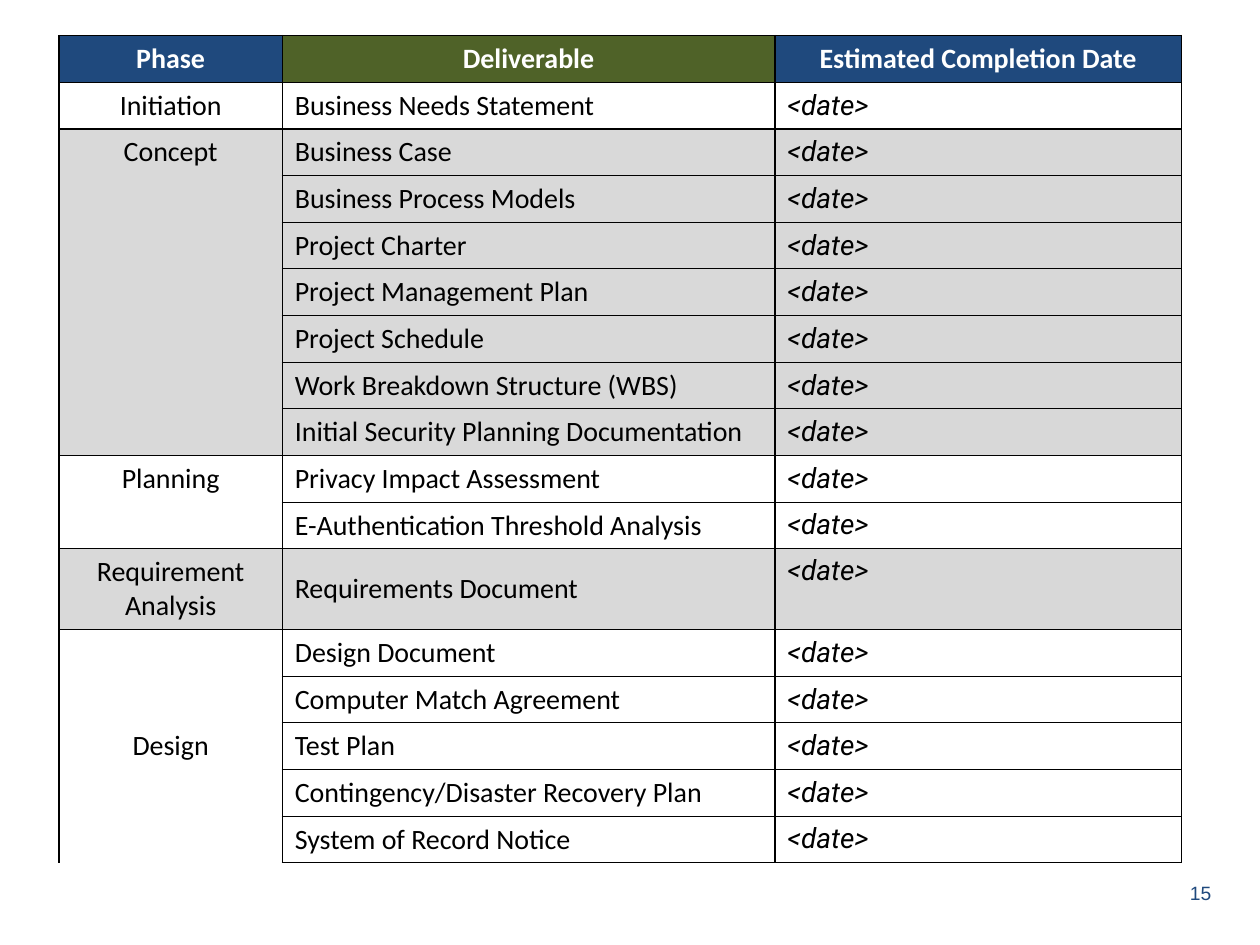
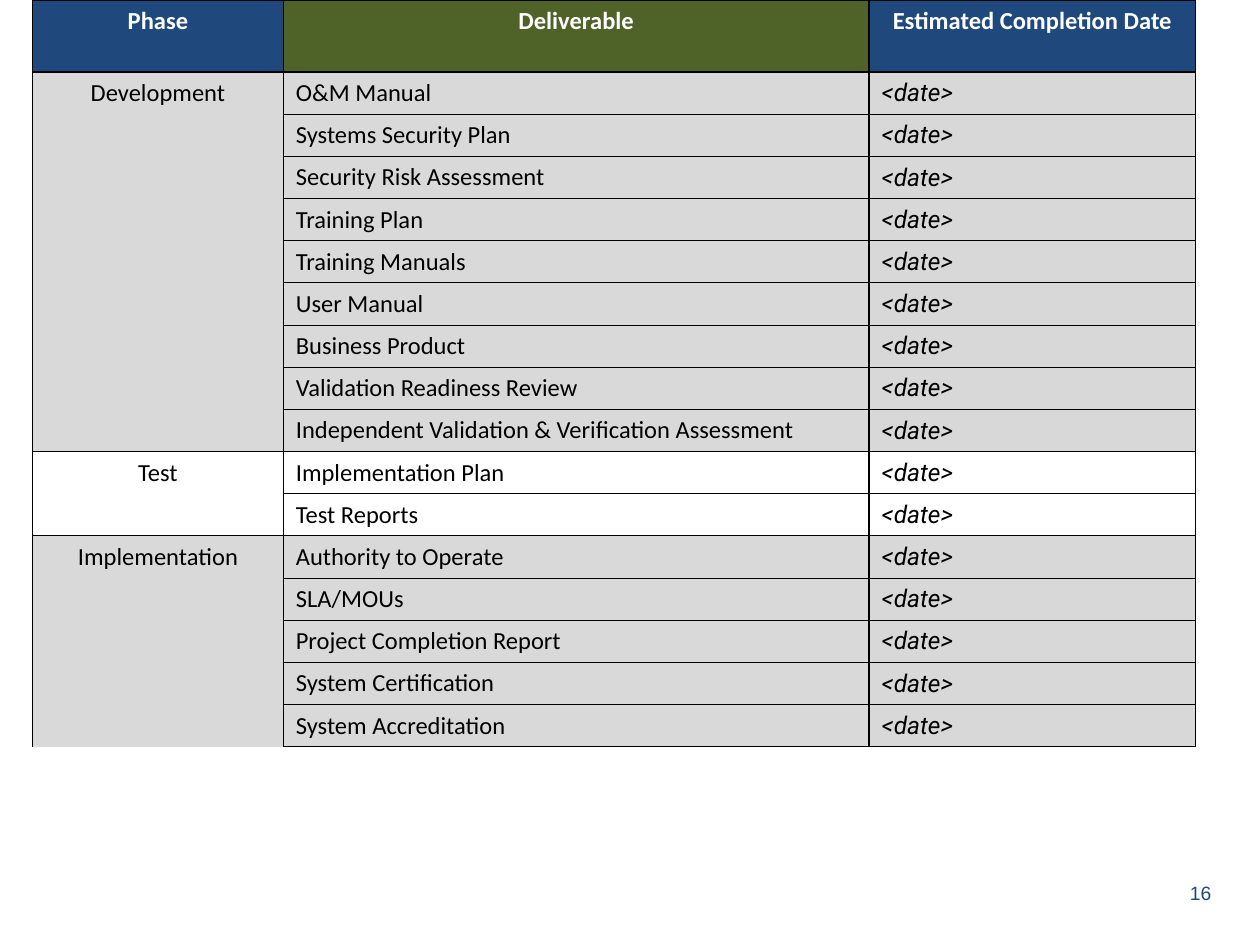
"""Two slides listing project deliverables by phase with estimated completion dates."""
from pptx import Presentation
from pptx import util as u
from pptx.dml.color import RGBColor
from pptx.enum import text
from pptx.oxml import parse_xml
from pptx.oxml.ns import nsdecls, qn

NAVY = RGBColor(0x1F, 0x49, 0x7D)
OLIVE = RGBColor(0x4F, 0x62, 0x28)
GREY = RGBColor(0xD9, 0xD9, 0xD9)
DATE_GREY = RGBColor(0xD8, 0xD8, 0xD8)
WHITE = RGBColor(0xFF, 0xFF, 0xFF)
BLACK = RGBColor(0x00, 0x00, 0x00)

TOP, MIDDLE, BOTTOM = text.MSO_ANCHOR.TOP, text.MSO_ANCHOR.MIDDLE, text.MSO_ANCHOR.BOTTOM
LEFT, CENTER, RIGHT = text.PP_ALIGN.LEFT, text.PP_ALIGN.CENTER, text.PP_ALIGN.RIGHT

NO_STYLE = "{2D5ABB26-0587-4C30-8999-92F81FD0307C}"
THICK, THIN = u.Pt(1), u.Pt(0.5)
HEADINGS = [("Phase", NAVY), ("Deliverable", OLIVE), ("Estimated Completion Date", NAVY)]
DATE = "<date>"

EARLY_PHASES = [
    ("Initiation", False, ["Business Needs Statement"]),
    ("Concept", True, [
        "Business Case", "Business Process Models", "Project Charter",
        "Project Management Plan", "Project Schedule",
        "Work Breakdown Structure (WBS)", "Initial Security Planning Documentation"]),
    ("Planning", False, ["Privacy Impact Assessment", "E-Authentication Threshold Analysis"]),
    ("Requirement Analysis", True, ["Requirements Document"]),
    ("Design", False, [
        "Design Document", "Computer Match Agreement", "Test Plan",
        "Contingency/Disaster Recovery Plan", "System of Record Notice"]),
]
LATE_PHASES = [
    ("Development", True, [
        "O&M Manual", "Systems Security Plan", "Security Risk Assessment", "Training Plan",
        "Training Manuals", "User Manual", "Business Product", "Validation Readiness Review",
        "Independent Validation & Verification Assessment"]),
    ("Test", False, ["Implementation Plan", "Test Reports"]),
    ("Implementation", True, [
        "Authority to Operate", "SLA/MOUs", "Project Completion Report",
        "System Certification", "System Accreditation"]),
]


def add_run(paragraph, words, size, color, font="Calibri", bold=False, italic=False):
    """Append one formatted run to a paragraph."""
    run = paragraph.add_run()
    run.text = words
    run.font.name, run.font.size = font, u.Pt(size)
    run.font.bold, run.font.italic = bold, italic
    run.font.color.rgb = color


def style_cell(cell, fill=None, top=THICK, bottom=THICK):
    """Give a cell its black borders and its fill; a width of None omits that edge."""
    properties = cell._tc.get_or_add_tcPr()
    for edge, width in (("lnL", THICK), ("lnR", THICK), ("lnT", top), ("lnB", bottom)):
        paint = f'<a:solidFill><a:srgbClr val="{BLACK}"/></a:solidFill>' if width else "<a:noFill/>"
        properties.append(parse_xml(
            f'<a:{edge} {nsdecls("a")} w="{width or 0}">{paint}</a:{edge}>'))
    if fill is None:
        cell.fill.background()
    else:
        cell.fill.solid()
        cell.fill.fore_color.rgb = fill


def write_cell(cell, words, size, align=LEFT, anchor=MIDDLE, color=BLACK, **look):
    """Write one aligned run of words in a cell."""
    cell.vertical_anchor = anchor
    paragraph = cell.text_frame.paragraphs[0]
    paragraph.alignment = align
    add_run(paragraph, words, size, color, **look)


def add_phase(table, first, phase, shaded, deliverables, size, anchors):
    """Fill the rows of one phase and return the index of the row after it."""
    phase_anchor, deliverable_anchor, date_anchor = anchors
    last = first + len(deliverables) - 1
    for row, deliverable in enumerate(deliverables, first):
        top = THICK if row == first else THIN
        bottom = THICK if row == last else THIN
        phase_cell, deliverable_cell, date_cell = table.rows[row].cells
        style_cell(phase_cell, GREY if shaded else None,
                   THICK if row == first else None, THICK if row == last else None)
        style_cell(deliverable_cell, GREY if shaded else None, top, bottom)
        style_cell(date_cell, DATE_GREY if shaded else None, top, bottom)
        write_cell(deliverable_cell, deliverable, size, anchor=deliverable_anchor)
        write_cell(date_cell, DATE, size, anchor=date_anchor, font="Roboto", italic=True)
    phase_cell = table.cell(first, 0)
    write_cell(phase_cell, phase, size, CENTER, phase_anchor)
    if last > first:
        phase_cell.merge(table.cell(last, 0))
    return last + 1


def add_schedule(slide, phases, left, top, widths, header_height, row_height, size,
                 header_anchor, anchors, exceptions=None):
    """Add the deliverables table; exceptions replace the anchors of named phases."""
    count = 1 + sum(len(deliverables) for _, _, deliverables in phases)
    frame = slide.shapes.add_table(
        count, len(widths), u.Cm(left), u.Cm(top), u.Cm(sum(widths)),
        u.Cm(header_height + (count - 1) * row_height))
    table = frame.table
    table.first_row = table.horz_banding = False
    table._tbl.tblPr.find(qn("a:tableStyleId")).text = NO_STYLE
    for column, width in zip(table.columns, widths):
        column.width = u.Cm(width)
    for row in table.rows:
        row.height = u.Cm(row_height)
    table.rows[0].height = u.Cm(header_height)
    for cell, (heading, fill) in zip(table.rows[0].cells, HEADINGS):
        style_cell(cell, fill)
        write_cell(cell, heading, size, CENTER, header_anchor, WHITE, bold=True)
    row = 1
    for phase, shaded, deliverables in phases:
        row = add_phase(table, row, phase, shaded, deliverables, size,
                        (exceptions or {}).get(phase, anchors))
    return table


def add_page_number(slide, number):
    """Add the page number at the lower right."""
    box = slide.shapes.add_textbox(u.Cm(18.75), u.Cm(17.48), u.Cm(5.92), u.Cm(1.02))
    box.text_frame.word_wrap = True
    box.text_frame.vertical_anchor = MIDDLE
    paragraph = box.text_frame.paragraphs[0]
    paragraph.alignment = RIGHT
    add_run(paragraph, str(number), 11, NAVY, font="Arial")


def add_page(deck, number):
    """Add a blank slide with its page number."""
    slide = deck.slides.add_slide(deck.slide_layouts[6])
    add_page_number(slide, number)
    return slide


def main():
    """Build both schedule slides and save them."""
    deck = Presentation()
    deck.slide_width, deck.slide_height = u.Cm(25.4), u.Cm(19.05)

    early = add_schedule(
        add_page(deck, 15), EARLY_PHASES, left=1.19, top=0.72, widths=(4.5, 9.93, 8.2),
        header_height=0.94, row_height=0.94, size=16, header_anchor=MIDDLE,
        anchors=(TOP, MIDDLE, MIDDLE),
        exceptions={"Requirement Analysis": (MIDDLE, MIDDLE, TOP),
                    "Design": (MIDDLE, MIDDLE, MIDDLE)})
    requirement_row = 1 + sum(len(deliverables) for _, _, deliverables in EARLY_PHASES[:3])
    early.rows[requirement_row].height = u.Cm(1.63)

    add_schedule(
        add_page(deck, 16), LATE_PHASES, left=0.66, top=0, widths=(5.05, 11.81, 6.58),
        header_height=1.45, row_height=0.85, size=14, header_anchor=TOP,
        anchors=(TOP, TOP, BOTTOM))

    deck.save("out.pptx")


if __name__ == "__main__":
    main()
